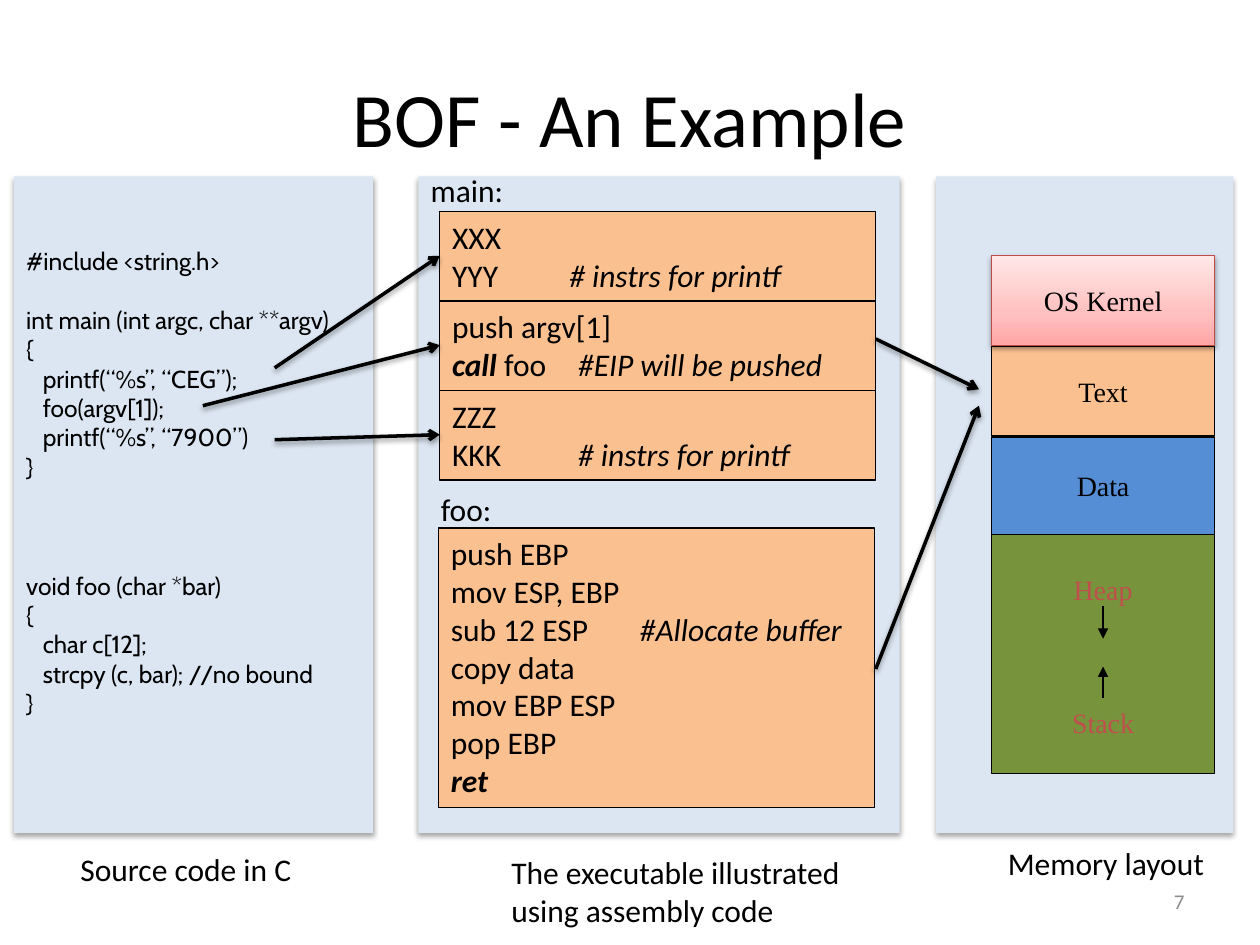
import copy

import pptx
import pptx.dml.color
import pptx.enum.shapes
import pptx.enum.text
import pptx.oxml
import pptx.oxml.ns
import pptx.util

Inches = pptx.util.Inches
Pt = pptx.util.Pt
ALIGN = pptx.enum.text.PP_ALIGN
ANCHOR = pptx.enum.text.MSO_ANCHOR
NS = pptx.oxml.ns.nsdecls("a")
COLORS = {
    "black": "000000", "panel": "DCE6F2", "code": "FAC090", "data": "558ED5",
    "heap": "77933C", "red": "C0504D", "kernel line": "BF4C48", "number": "8C8C8C",
}
KERNEL_STOPS = [(0, "FFA6A5"), (0.35, "FFC0BF"), (1, "FFE7E7")]


def rgb(name):
    """Return the colour of that name."""
    return pptx.dml.color.RGBColor.from_string(COLORS[name])


def write(shape, lines, font="Calibri", size=18, color="black", align=ALIGN.LEFT,
          anchor=ANCHOR.TOP, wrap=True, tabs=None, gaps=None):
    """Write lines, each a string or a list of (text, style) spans; tabs and gaps go by line."""
    frame = shape.text_frame
    frame.word_wrap = wrap
    frame.vertical_anchor = anchor
    for index, line in enumerate(lines):
        para = frame.paragraphs[0] if index == 0 else frame.add_paragraph()
        if tabs and index in tabs:
            stop = Inches(tabs[index])
            para._p.get_or_add_pPr().append(pptx.oxml.parse_xml(
                f'<a:tabLst {NS}><a:tab pos="{stop}" algn="l"/></a:tabLst>'))
        para.alignment = align
        if gaps and index in gaps:
            para.space_before = Pt(gaps[index])
        for text, style in [(line, "")] if isinstance(line, str) else line:
            span = para.add_run()
            span.text = text
            span.font.name = font
            span.font.size = Pt(size)
            span.font.color.rgb = rgb(color)
            span.font.bold = "b" in style
            span.font.italic = "i" in style


def add_text(page, box, lines, **style):
    """Add a text box."""
    write(page.shapes.add_textbox(*map(Inches, box)), lines, **style)


def set_shadow(shape, opacity=None, distance=1.8):
    """Replace the theme shadow by a soft one below, or by none."""
    properties = shape._element.spPr
    for old in properties.findall(pptx.oxml.ns.qn("a:effectLst")):
        properties.remove(old)
    soft = "" if opacity is None else (
        f'<a:outerShdw blurRad="{Pt(3.1)}" dist="{Pt(distance)}" dir="5400000" rotWithShape="0">'
        f'<a:srgbClr val="000000"><a:alpha val="{opacity * 1000}"/></a:srgbClr></a:outerShdw>')
    properties.append(pptx.oxml.parse_xml(f"<a:effectLst {NS}>{soft}</a:effectLst>"))


def add_block(page, box, fill, line="black"):
    """Add a filled rectangle, outlined unless line is None."""
    shape = page.shapes.add_shape(pptx.enum.shapes.MSO_SHAPE.RECTANGLE, *map(Inches, box))
    shape.fill.solid()
    shape.fill.fore_color.rgb = rgb(fill)
    if line:
        shape.line.color.rgb = rgb(line)
        shape.line.width = Pt(0.75)
    else:
        shape.line.fill.background()
    set_shadow(shape)
    return shape


def add_panel(page, box):
    """Add the pale background of a column."""
    set_shadow(add_block(page, box, "panel", None), 35)


def add_arrow(page, start, end, width=2, head="arrow", opacity=38):
    """Add an arrow from start to end."""
    arrow = page.shapes.add_connector(
        pptx.enum.shapes.MSO_CONNECTOR.STRAIGHT, *map(Inches, (*start, *end)))
    arrow.line.color.rgb = rgb("black")
    arrow.line.width = Pt(width)
    arrow.line._get_or_add_ln().append(pptx.oxml.parse_xml(f'<a:tailEnd {NS} type="{head}"/>'))
    set_shadow(arrow, opacity, 1.6)


def add_source(page, box):
    """Fill the column with the C program."""
    left, top, width, height = box
    add_panel(page, box)
    add_text(page, (left, top + 0.5, width, 4.11), [
        "#include <string.h>",
        "int main (int argc, char **argv)",
        "{",
        "   printf(“%s”, “CEG”);",
        "   foo(argv[1]);",
        "   printf(“%s”, “7900”)",
        "}",
        "void foo (char *bar)",
        "{",
        "   char c[12];",
        "   strcpy (c, bar); //no bound",
        "}",
    ], font="Cabin", size=14, gaps={1: 17, 7: 51})
    add_text(page, (left + 0.43, top + 5.3, 1.9, 0.4), ["Source code in C"], wrap=False)


def add_assembly(page, box):
    """Fill the column with the assembly of both functions."""
    left, top, width, height = box
    add_panel(page, box)
    add_text(page, (left, top - 0.09, 0.78, 0.4), ["main:"], wrap=False)
    steps = [
        (["XXX", [("YYY\t", ""), ("# instrs for printf", "i")]], 0.93),
        (["push argv[1]", [("call", "bi"), (" foo\t", ""), ("#EIP will be pushed", "i")]], 1),
        (["ZZZ", [("KKK\t", ""), ("# instrs for printf", "i")]], 1),
    ]
    for index, (lines, tab) in enumerate(steps):
        block = add_block(page, (left + 0.17, top + 0.28 + index * 0.71, 3.46, 0.71), "code")
        write(block, lines, tabs={1: tab})
    add_text(page, (left + 0.08, top + 2.44, 0.61, 0.4), ["foo:"], wrap=False)
    write(add_block(page, (left + 0.16, top + 2.79, 3.46, 2.22), "code"), [
        "push EBP",
        "mov ESP, EBP",
        [("sub 12 ESP\t", ""), ("#Allocate buffer", "i")],
        "copy data",
        "mov EBP ESP",
        "pop EBP",
        [("ret", "bi")],
    ], tabs={2: 1.5})
    add_text(page, (left + 0.64, top + 5.32, 2.86, 0.71),
             ["The executable illustrated", "using assembly code"], wrap=False)


def add_memory(page, box):
    """Fill the column with the stacked memory segments."""
    left, top, width, height = box
    add_panel(page, box)
    label = dict(font="Times New Roman", size=16, align=ALIGN.CENTER,
                 anchor=ANCHOR.MIDDLE, wrap=False)
    x, wide = left + 0.44, 1.77
    for text, offset, tall, fill in [("Text", 1.35, 0.71, "code"), ("Data", 2.07, 0.77, "data")]:
        write(add_block(page, (x, top + offset, wide, tall), fill), [text], **label)
    add_block(page, (x, top + 2.84, wide, 1.9), "heap")
    middle = x + wide / 2
    for text, offset, start, end in [("Heap", 3.1, 3.41, 3.67), ("Stack", 4.16, 4.14, 3.89)]:
        add_text(page, (x, top + offset, wide, 0.35), [text], color="red", **label)
        add_arrow(page, (middle, top + start), (middle, top + end), 0.75, "triangle", None)
    kernel = add_block(page, (x, top + 0.63, wide, 0.71), "code", "kernel line")
    kernel.fill.gradient()
    kernel.fill.gradient_angle = 90
    stops = kernel._element.spPr.find(".//" + pptx.oxml.ns.qn("a:gsLst"))
    stops.insert(1, copy.deepcopy(stops[0]))
    for stop, (position, color) in zip(kernel.fill.gradient_stops, KERNEL_STOPS):
        stop.position = position
        stop.color.rgb = pptx.dml.color.RGBColor.from_string(color)
    set_shadow(kernel, 38, 1.6)
    write(kernel, ["OS Kernel"], **label)
    add_text(page, (left + 0.47, top + 5.25, 1.79, 0.4), ["Memory layout"], wrap=False)


def add_title(page, box):
    """Move and fill the title placeholder."""
    title = page.shapes.title
    title.left, title.top, title.width, title.height = map(Inches, box)
    write(title, ["BOF - An Example"], size=44, align=ALIGN.CENTER, anchor=ANCHOR.MIDDLE)


def main():
    """Build and save the deck."""
    deck = pptx.Presentation()
    deck.slide_width, deck.slide_height = Inches(10), Inches(7.5)
    page = deck.slides.add_slide(deck.slide_layouts[5])
    add_title(page, (0.5, 0.3, 9, 1.25))
    add_source(page, (0.11, 1.4, 2.85, 5.21))
    add_assembly(page, (3.32, 1.4, 3.82, 5.21))
    add_memory(page, (7.43, 1.4, 2.36, 5.21))
    for start, end in [
        ((2.18, 2.92), (3.49, 2.03)),
        ((1.61, 3.22), (3.49, 2.74)),
        ((2.18, 3.49), (3.49, 3.45)),
        ((6.95, 2.69), (7.77, 3.09)),
        ((6.95, 5.31), (7.77, 3.22)),
    ]:
        add_arrow(page, start, end)
    add_text(page, (7.17, 6.95, 2.33, 0.4), ["7"], size=12, color="number",
             align=ALIGN.RIGHT, anchor=ANCHOR.MIDDLE)
    deck.save("out.pptx")


if __name__ == "__main__":
    main()
